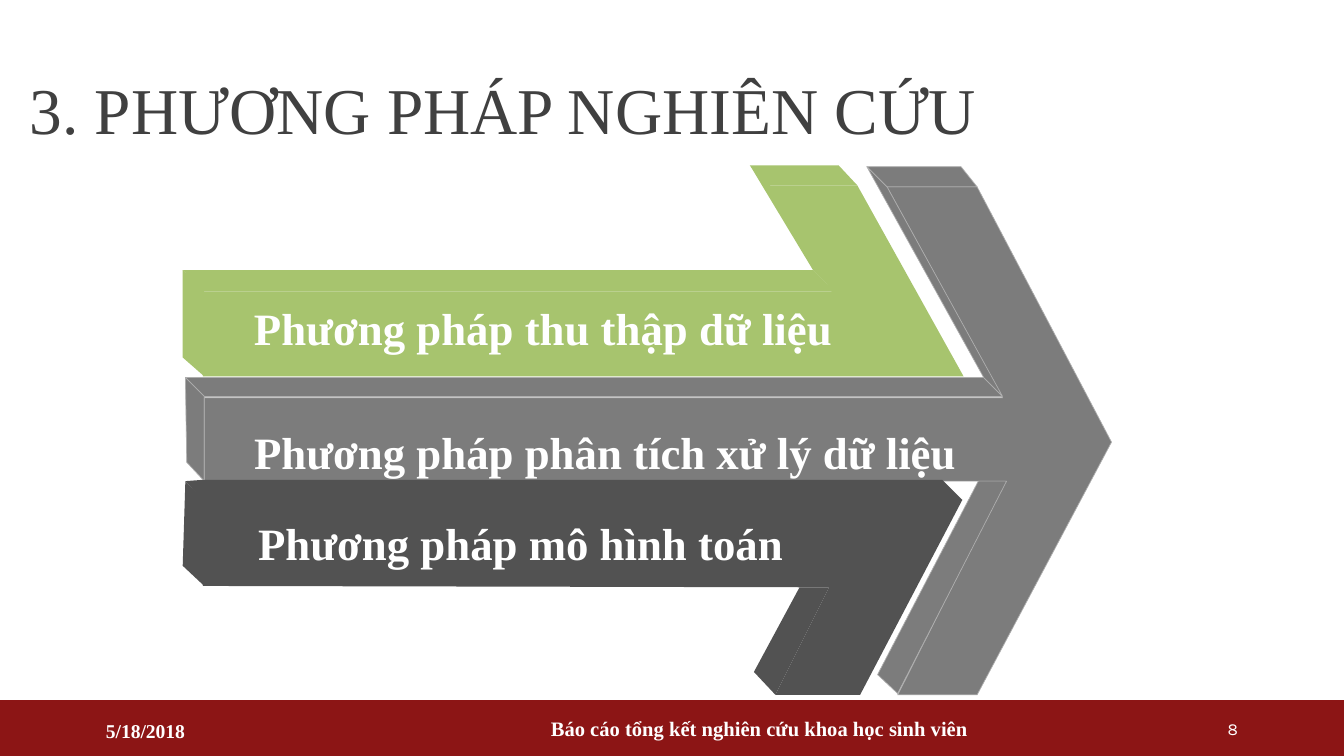
from pptx import Presentation
from pptx.dml.color import RGBColor
from pptx.enum.shapes import MSO_SHAPE
from pptx.enum.text import MSO_ANCHOR, MSO_AUTO_SIZE, PP_ALIGN
from pptx.util import Inches, Pt

RECT = MSO_SHAPE.RECTANGLE
TOP, MIDDLE = MSO_ANCHOR.TOP, MSO_ANCHOR.MIDDLE
NO_FIT = MSO_AUTO_SIZE.NONE
LEFT, CENTER, RIGHT = PP_ALIGN.LEFT, PP_ALIGN.CENTER, PP_ALIGN.RIGHT

COLS, ROWS = 100, 56.25
CELL = Inches(10) // COLS
SERIF = "Times New Roman"
WHITE, RED, INK = "FFFFFF", "8C1515", "404040"
GRAY, EDGE, DARK, GREEN = "7C7C7C", "AEAEAE", "525252", "A7C46E"

MIDDLE_ARROW = [
    [(13.8, 28.1), (15.2, 29.5), (74.6, 29.5), (73.2, 28.1)],
    [(15.2, 29.5), (15.2, 35.8), (13.9, 34.4), (13.8, 28.1)],
    [(15.2, 35.8), (74.8, 35.8), (66.8, 51.7), (72.7, 51.7), (82.7, 32.9),
     (72.7, 13.9), (66, 13.9), (74.6, 29.6), (15.2, 29.6)],
    [(66, 13.9), (64.5, 12.4), (71.5, 12.4), (72.7, 13.9)],
    [(66.8, 51.6), (65.3, 50.2), (72.8, 35.8), (74.9, 35.8)],
    [(73.2, 28.1), (64.5, 12.4), (66, 13.9), (74.6, 29.5)],
]
LOWER_ARROW = [
    [(13.8, 35.8), (15.2, 37.2), (15.2, 43.6), (13.6, 42.1)],
    [(15.1, 37.2), (71.6, 37.2), (64, 51.7), (57.7, 51.7), (61.7, 43.7),
     (15.1, 43.6)],
    [(13.8, 35.8), (15.1, 35.7), (70.1, 35.7), (71.6, 37.2), (15.1, 37.2)],
    [(57.7, 51.7), (56.1, 50), (59.5, 43.7), (61.7, 43.7)],
]
UPPER_ARROW = [
    [(15.2, 28), (15.2, 21.7), (13.6, 20.1), (13.6, 26.6)],
    [(15.1, 21.7), (62.1, 21.7), (60.5, 20.1), (13.6, 20.1)],
    [(15.1, 28), (71.7, 28), (63.8, 13.8), (57.2, 13.8), (61.9, 21.7),
     (15.1, 21.7)],
    [(60.5, 20.1), (55.8, 12.3), (57.3, 13.8), (62.1, 21.7)],
    [(55.8, 12.3), (62.4, 12.3), (63.8, 13.8), (57.2, 13.8)],
]


def rgb(value):
    return RGBColor.from_string(value)


def grid(*cells):
    return [round(c * CELL) for c in cells]


def paint(sp, fill, line=None):
    sp.shadow.inherit = False
    sp.fill.solid()
    sp.fill.fore_color.rgb = rgb(fill)
    if line:
        sp.line.color.rgb = rgb(line)
        sp.line.width = Pt(0.38)
    else:
        sp.line.fill.background()


def write(sp, text, size, color=WHITE, font=SERIF, bold=False, align=LEFT,
          anchor=MIDDLE, spacing=1, inset=None):
    tf = sp.text_frame
    tf.word_wrap = True
    tf.auto_size = NO_FIT
    tf.vertical_anchor = anchor
    if inset is not None:
        tf.margin_left = tf.margin_right = inset
        tf.margin_top = tf.margin_bottom = inset
    p = tf.paragraphs[0]
    p.alignment = align
    p.line_spacing = spacing
    r = p.add_run()
    r.text = text
    r.font.size = Pt(size)
    r.font.name = font
    r.font.bold = bold
    r.font.color.rgb = rgb(color)


def add_title(s, text, box):
    sp = s.shapes.title
    sp.left, sp.top, sp.width, sp.height = grid(*box)
    write(sp, text, 35, color=INK, spacing=0.9)


def add_text(s, text, box, size, **fmt):
    write(s.shapes.add_textbox(*grid(*box)), text, size, **fmt)


def add_bar(s, box, fill):
    paint(s.shapes.add_shape(RECT, *grid(*box)), fill)


def add_arrow(s, faces, fill, line=None):
    group = s.shapes.add_group_shape()
    for face in faces:
        start, *rest = [grid(*point) for point in face]
        fb = group.shapes.build_freeform(*start)
        fb.add_line_segments(rest, close=True)
        paint(fb.convert_to_shape(), fill, line)


def main():
    prs = Presentation()
    prs.slide_width, prs.slide_height = grid(COLS, ROWS)
    s = prs.slides.add_slide(prs.slide_layouts[5])

    add_bar(s, (0, 52.1, COLS, ROWS - 52.1), RED)
    add_title(s, "3. PHƯƠNG PHÁP NGHIÊN CỨU", (1.2, 3.6, 98.8, 9.7))

    add_arrow(s, MIDDLE_ARROW, GRAY, EDGE)
    add_arrow(s, LOWER_ARROW, DARK)
    add_arrow(s, UPPER_ARROW, GREEN)

    for text, box in [
        ("Phương pháp phân tích xử lý dữ liệu", (18.9, 30.8, 54.2, 4.4)),
        ("Phương pháp mô hình toán", (19.2, 37.6, 43.9, 4.4)),
        ("Phương pháp thu thập dữ liệu", (18.9, 21.6, 45.6, 4.4)),
    ]:
        add_text(s, text, box, 24, bold=True, anchor=TOP, spacing=1.2, inset=0)

    add_text(s, "5/18/2018", (6.9, 52.9, 12.4, 3), 10.5, bold=True)
    add_text(s, "Báo cáo tổng kết nghiên cứu khoa học sinh viên",
             (34.9, 52.7, 43.2, 3), 11, bold=True, align=CENTER)
    add_text(s, "8", (79.4, 52.7, 13.7, 3), 9, font="Karla", align=RIGHT)

    prs.save("out.pptx")


if __name__ == "__main__":
    main()
